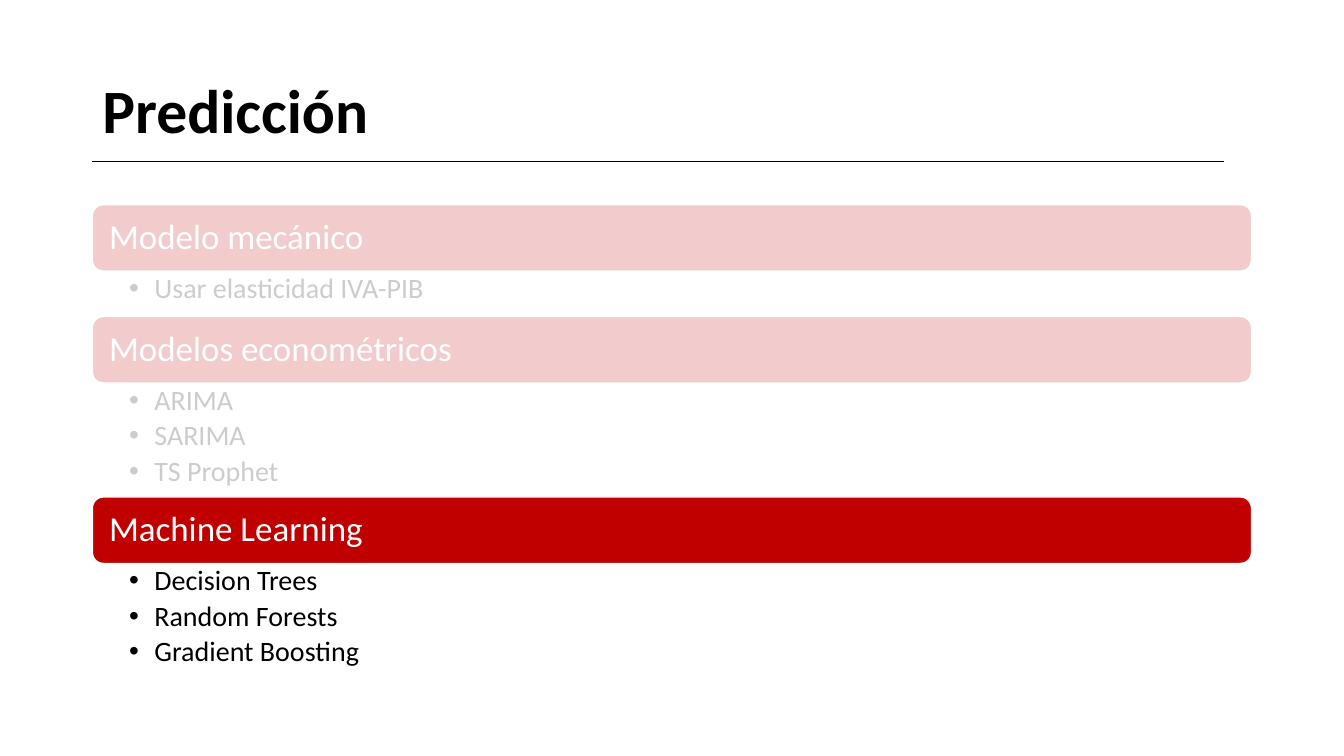
from lxml import etree
from pptx import Presentation
from pptx import util as u
from pptx.dml import color
from pptx.enum import shapes, text
from pptx.oxml import ns

Pt = u.Pt
FONT = "Calibri"
COLOURS = {"accent": "C00000", "paper": "FFFFFF", "ink": "000000"}
LEFT, WIDTH = 66, 828
HEADER_HEIGHT = 47.5
BULLET_PITCH, BULLET_PADDING = 24.5, 7.9
MODELS = [
    ("Modelo mecánico", ["Usar elasticidad IVA-PIB"]),
    ("Modelos econométricos", ["ARIMA", "SARIMA", "TS Prophet"]),
    ("Machine Learning", ["Decision Trees", "Random Forests", "Gradient Boosting"]),
]


def rgb(name):
    return color.RGBColor.from_string(COLOURS[name])


def add_child(parent, tag, **attributes):
    return etree.SubElement(parent, ns.qn(tag), attributes)


def set_frame(frame, insets, anchor):
    """Set wrapping, anchor and insets (left, top, right, bottom)."""
    frame.word_wrap = True
    frame.vertical_anchor = anchor
    frame.margin_left, frame.margin_top, frame.margin_right, frame.margin_bottom = map(Pt, insets)


def write(paragraph, words, size, colour, bold=False, space_after=0):
    paragraph.alignment = text.PP_ALIGN.LEFT
    paragraph.line_spacing = 0.9
    paragraph.space_before = Pt(0)
    paragraph.space_after = Pt(space_after)
    run = paragraph.add_run()
    run.text = words
    run.font.name = FONT
    run.font.size = Pt(size)
    run.font.bold = bold
    run.font.color.rgb = rgb(colour)


def add_box(slide, kind, left, top, width, height, fill):
    shape = slide.shapes.add_shape(kind, Pt(left), Pt(top), Pt(width), Pt(height))
    shape.shadow.inherit = False
    shape.fill.solid()
    shape.fill.fore_color.rgb = rgb(fill)
    shape.line.color.rgb = rgb("paper")
    shape.line.width = Pt(1)
    return shape


def add_title(slide, left, top, width, height, words):
    box = slide.shapes.add_textbox(Pt(left), Pt(top), Pt(width), Pt(height))
    set_frame(box.text_frame, (7.2, 3.6, 7.2, 3.6), text.MSO_ANCHOR.MIDDLE)
    write(box.text_frame.paragraphs[0], words, 44, "ink", bold=True)


def add_rule(slide, left, top, width):
    rule = slide.shapes.add_connector(
        shapes.MSO_CONNECTOR.STRAIGHT, Pt(left), Pt(top), Pt(left + width), Pt(top))
    rule.line.color.rgb = rgb("ink")
    rule.line.width = Pt(0.5)
    add_child(rule._element.spPr, "a:effectLst")


def add_bullets(slide, left, top, width, height, items):
    box = slide.shapes.add_textbox(Pt(left), Pt(top), Pt(width), Pt(height))
    frame = box.text_frame
    set_frame(frame, (26.3, 2.3, 13.7, 2.3), text.MSO_ANCHOR.TOP)
    for index, item in enumerate(items):
        paragraph = frame.add_paragraph() if index else frame.paragraphs[0]
        write(paragraph, item, 20, "ink", space_after=3.8)
        paragraph.level = 1
        properties = paragraph._p.get_or_add_pPr()
        properties.set("marL", str(Pt(18)))
        properties.set("indent", str(-Pt(18)))
        add_child(properties, "a:buFont", typeface="Arial")
        add_child(properties, "a:buChar", char="•")


def add_model_list(slide, left, top, width, models):
    """Stack a header bar and its bullets for each model family."""
    for name, items in models:
        bar = add_box(slide, shapes.MSO_SHAPE.ROUNDED_RECTANGLE,
                      left, top, width, HEADER_HEIGHT, "accent")
        set_frame(bar.text_frame, (9.6, 7.2, 9.6, 7.2), text.MSO_ANCHOR.MIDDLE)
        write(bar.text_frame.paragraphs[0], name, 25, "paper")
        top += HEADER_HEIGHT
        height = BULLET_PITCH * len(items) + BULLET_PADDING
        add_bullets(slide, left, top, width, height, items)
        top += height


def add_veil(slide, left, top, width, height):
    """Fade what lies below with a translucent white sheet."""
    veil = add_box(slide, shapes.MSO_SHAPE.RECTANGLE, left, top, width, height, "paper")
    fill_colour = veil._element.spPr.find(".//" + ns.qn("a:srgbClr"))
    add_child(fill_colour, "a:alpha", val="80000")


def main():
    presentation = Presentation()
    presentation.slide_width, presentation.slide_height = Pt(960), Pt(540)
    slide = presentation.slides.add_slide(presentation.slide_layouts[6])
    add_title(slide, LEFT, 28.8, WIDTH, 104.4, "Predicción")
    add_model_list(slide, LEFT, 146.2, WIDTH, MODELS)
    add_rule(slide, LEFT, 115.2, 808)
    add_veil(slide, 26.6, 144, 895, 206.6)
    presentation.save("out.pptx")


if __name__ == "__main__":
    main()
